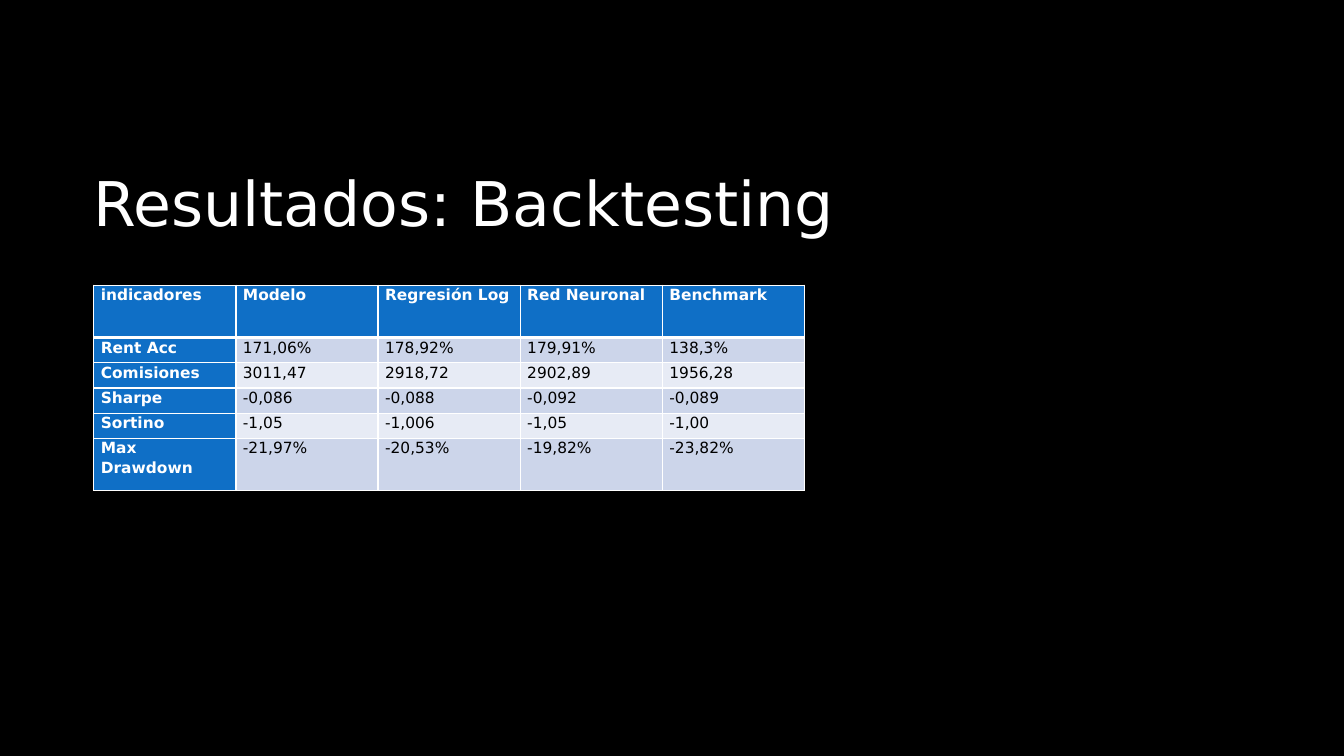
from lxml.etree import fromstring
from pptx import Presentation
from pptx.dml.color import RGBColor
from pptx.enum.text import MSO_ANCHOR
from pptx.oxml.ns import nsdecls
from pptx.util import Inches, Pt

BLACK = RGBColor(0x00, 0x00, 0x00)
WHITE = RGBColor(0xFF, 0xFF, 0xFF)
BLUE = RGBColor(0x0F, 0x6F, 0xC6)
BAND_DARK = RGBColor(0xCC, 0xD5, 0xEA)
BAND_LIGHT = RGBColor(0xE7, 0xEB, 0xF5)
FONT = "DejaVu Sans"

RESULTS = [
    ["indicadores", "Modelo", "Regresión Log", "Red Neuronal", "Benchmark"],
    ["Rent Acc", "171,06%", "178,92%", "179,91%", "138,3%"],
    ["Comisiones", "3011,47", "2918,72", "2902,89", "1956,28"],
    ["Sharpe", "-0,086", "-0,088", "-0,092", "-0,089"],
    ["Sortino", "-1,05", "-1,006", "-1,05", "-1,00"],
    ["Max Drawdown", "-21,97%", "-20,53%", "-19,82%", "-23,82%"],
]
ROW_HEIGHTS = [0.52, 0.25, 0.25, 0.25, 0.25, 0.52]
COL_WIDTH = 1.41


def write(p, text, size, color, bold=False):
    r = p.add_run()
    r.text = text
    r.font.color.rgb = color
    for name, value in {"name": FONT, "size": Pt(size), "bold": bold}.items():
        setattr(r.font, name, value)


def set_borders(cell, widths):
    """Draw white cell edges; widths maps L, R, T and B to points."""
    tcPr = cell._tc.get_or_add_tcPr()
    for i, (side, width) in enumerate(widths.items()):
        tcPr.insert(i, fromstring(
            f'<a:ln{side} {nsdecls("a")} w="{Pt(width)}"><a:solidFill>'
            f'<a:srgbClr val="{WHITE}"/></a:solidFill></a:ln{side}>'))


prs = Presentation()
prs.slide_width, prs.slide_height = Inches(13.33), Inches(7.5)
s = prs.slides.add_slide(prs.slide_layouts[6])
s.background.fill.solid()
s.background.fill.fore_color.rgb = BLACK

# Title
title = s.shapes.add_textbox(Inches(0.83), Inches(1.67), Inches(10), Inches(1.38))
tf = title.text_frame
tf.word_wrap = True
tf.vertical_anchor = MSO_ANCHOR.TOP
p = tf.paragraphs[0]
p.line_spacing = 0.9
write(p, "Resultados: Backtesting", 44, WHITE)

# Results table
n_rows, n_cols = len(RESULTS), len(RESULTS[0])
table = s.shapes.add_table(n_rows, n_cols, Inches(0.93), Inches(2.83),
                           Inches(COL_WIDTH * n_cols), Inches(sum(ROW_HEIGHTS))).table
table.first_col = True
for col in table.columns:
    col.width = Inches(COL_WIDTH)
for row, height in zip(table.rows, ROW_HEIGHTS):
    row.height = Inches(height)

cell_format = {"margin_left": Inches(0.07), "margin_right": Inches(0.07),
               "margin_top": 0, "margin_bottom": 0}
for i, values in enumerate(RESULTS):
    for j, text in enumerate(values):
        cell = table.cell(i, j)
        for name, value in cell_format.items():
            setattr(cell, name, value)
        is_header = i == 0 or j == 0
        band = BAND_DARK if i % 2 else BAND_LIGHT
        cell.fill.solid()
        cell.fill.fore_color.rgb = BLUE if is_header else band
        set_borders(cell, {"L": 1, "R": 1, "T": 3 if i == 1 else 1, "B": 3 if i == 0 else 1})
        p = cell.text_frame.paragraphs[0]
        p.line_spacing = 1.07
        p.space_after = Pt(8)
        write(p, text, 11, WHITE if is_header else BLACK, is_header)

prs.save("out.pptx")
